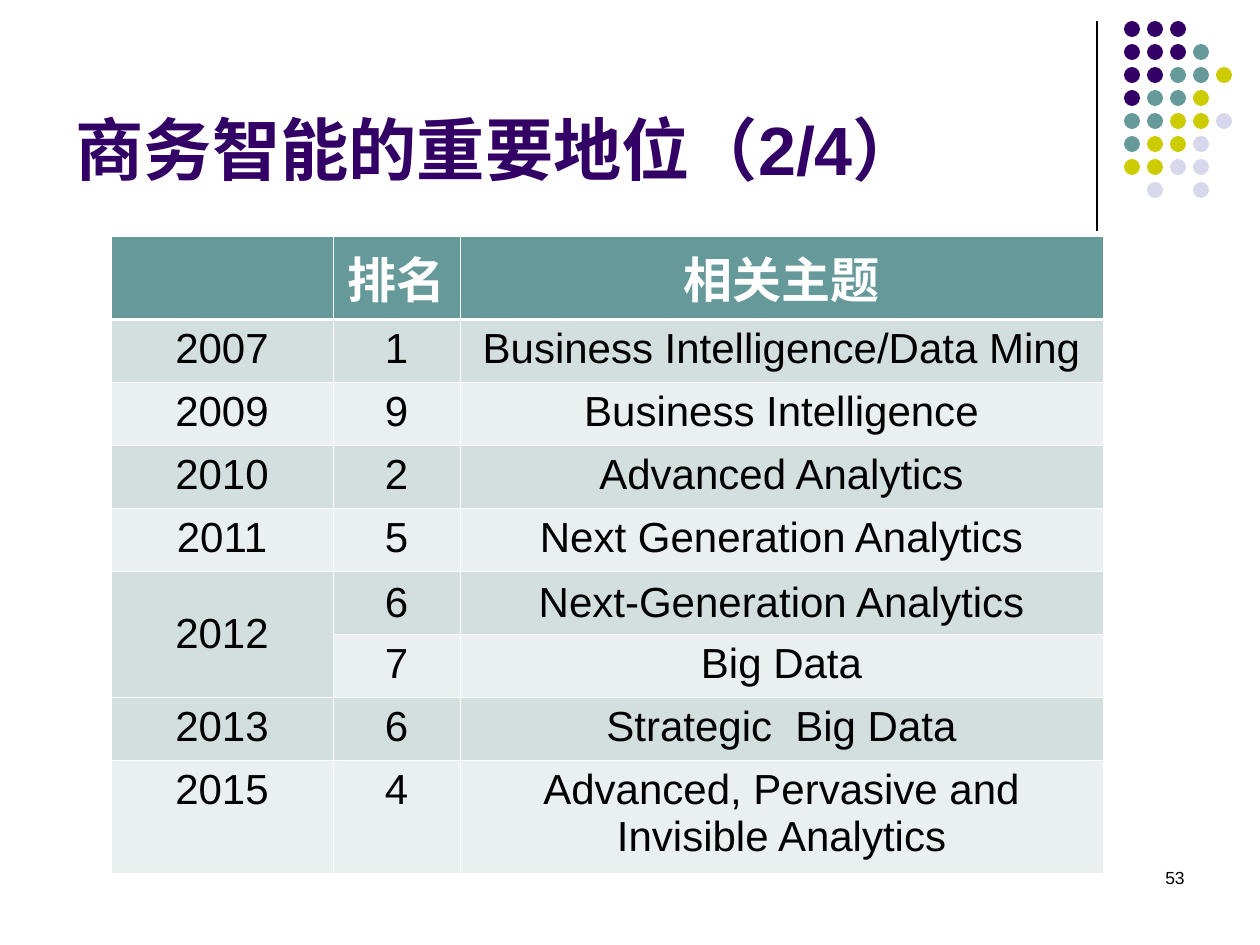
"""Build the slide on the standing of business intelligence, 2007 to 2015."""
from typing import NamedTuple

from lxml import etree
from pptx import Presentation
from pptx.dml.color import RGBColor
from pptx.enum import shapes, text
from pptx.oxml import ns
from pptx import util as u

PX_PER_INCH = 126
FONT = "Arial"
BLACK = RGBColor(0x00, 0x00, 0x00)
WHITE = RGBColor(0xFF, 0xFF, 0xFF)
PURPLE = RGBColor(0x33, 0x00, 0x66)
TEAL = RGBColor(0x66, 0x99, 0x99)
LIME = RGBColor(0xCC, 0xCC, 0x00)
LILAC = RGBColor(0xD8, 0xD8, 0xEC)
BAND_DARK = RGBColor(0xD3, 0xDE, 0xDE)
BAND_LIGHT = RGBColor(0xEA, 0xEF, 0xEF)

DOT_COLORS = {"P": PURPLE, "T": TEAL, "Y": LIME, "L": LILAC}
DOT_ROWS = ("PPP", "PPPT", "PPTTY", "PTTY", "TTYYL", "TYYL", "YYLL", " L L")
DOT_LEFT, DOT_TOP, DOT_PITCH, DOT_SIZE = 1124, 21, 23, 16

COL_WIDTHS = (222, 127, 643)
HEADER_HEIGHT, ROW_HEIGHT, LAST_HEIGHT = 72, 63, 113
THIN, THICK = 0.45, 1.47


class Ranking(NamedTuple):
    year: str
    rank: str
    topic: str


HEADER = Ranking("", "排名", "相关主题")
RANKINGS = (
    Ranking("2007", "1", "Business Intelligence/Data Ming"),
    Ranking("2009", "9", "Business Intelligence"),
    Ranking("2010", "2", "Advanced Analytics"),
    Ranking("2011", "5", "Next Generation Analytics"),
    Ranking("2012", "6", "Next-Generation Analytics"),
    Ranking("", "7", "Big Data"),
    Ranking("2013", "6", "Strategic  Big Data"),
    Ranking("2015", "4", "Advanced, Pervasive and Invisible Analytics"),
)
MERGED_ROW = 5


def px(value: int) -> u.Emu:
    """Turn px into EMU."""
    return u.Emu(round(value * u.Inches(1) / PX_PER_INCH))


def format_text(p, size: float, color: RGBColor, bold: bool, align) -> None:
    """Set the font and alignment of a paragraph."""
    p.alignment = align
    p.font.name = FONT
    p.font.size = u.Pt(size)
    p.font.bold = bold
    p.font.color.rgb = color


def add_title(slide, title: str) -> None:
    """Place and format the title placeholder."""
    sp = slide.shapes.title
    sp.left, sp.top, sp.width, sp.height = px(63), px(16), px(1040), px(179)
    tf = sp.text_frame
    tf.text = title
    tf.auto_size = text.MSO_AUTO_SIZE.NONE
    tf.vertical_anchor = text.MSO_ANCHOR.BOTTOM
    format_text(tf.paragraphs[0], 39, PURPLE, True, text.PP_ALIGN.LEFT)


def add_rule(slide) -> None:
    """Draw the upright line beside the dots."""
    line = slide.shapes.add_connector(
        shapes.MSO_CONNECTOR.STRAIGHT, px(1097), px(21), px(1097), px(231))
    line.line.color.rgb = BLACK
    line.line.width = u.Pt(0.75)
    etree.SubElement(line._element.spPr, ns.qn("a:effectLst"))


def add_dots(slide) -> None:
    """Draw the grid of coloured dots as one group."""
    group = slide.shapes.add_group_shape()
    for row, codes in enumerate(DOT_ROWS):
        for col, code in enumerate(codes):
            if code == " ":
                continue
            sp = group.shapes.add_shape(
                shapes.MSO_SHAPE.OVAL,
                px(DOT_LEFT + col * DOT_PITCH), px(DOT_TOP + row * DOT_PITCH),
                px(DOT_SIZE), px(DOT_SIZE))
            sp.shadow.inherit = False
            sp.fill.solid()
            sp.fill.fore_color.rgb = DOT_COLORS[code]
            sp.line.fill.background()


def set_borders(cell, top: float, bottom: float) -> None:
    """Give a cell white borders, with widths in points."""
    tc_pr = cell._tc.get_or_add_tcPr()
    sides = (("lnL", THIN), ("lnR", THIN), ("lnT", top), ("lnB", bottom))
    for index, (side, width) in enumerate(sides):
        ln = etree.Element(ns.qn(f"a:{side}"), w=str(u.Pt(width)))
        fill = etree.SubElement(ln, ns.qn("a:solidFill"))
        etree.SubElement(fill, ns.qn("a:srgbClr"), val=str(WHITE))
        tc_pr.insert(index, ln)


def format_cell(cell, row: int, value: str) -> None:
    """Fill one table cell according to its row."""
    is_header = row == 0
    cell.text = value
    p = cell.text_frame.paragraphs[0]
    format_text(p, 28 if is_header else 24, WHITE if is_header else BLACK,
                is_header, text.PP_ALIGN.CENTER)
    if row == MERGED_ROW:
        cell.vertical_anchor = text.MSO_ANCHOR.MIDDLE
    cell.fill.solid()
    band = BAND_DARK if row % 2 else BAND_LIGHT
    cell.fill.fore_color.rgb = TEAL if is_header else band
    set_borders(cell, THICK if row == 1 else THIN, THICK if is_header else THIN)


def add_rankings(slide) -> None:
    """Add the table of yearly rankings."""
    records = (HEADER, *RANKINGS)
    heights = (HEADER_HEIGHT, *[ROW_HEIGHT] * (len(RANKINGS) - 1), LAST_HEIGHT)
    table = slide.shapes.add_table(
        len(records), len(COL_WIDTHS), px(111), px(236),
        px(sum(COL_WIDTHS)), px(sum(heights))).table
    for column, width in zip(table.columns, COL_WIDTHS):
        column.width = px(width)
    for row, (record, height) in enumerate(zip(records, heights)):
        table.rows[row].height = px(height)
        for col, value in enumerate(record):
            format_cell(table.cell(row, col), row, value)
    table.cell(MERGED_ROW, 0).merge(table.cell(MERGED_ROW + 1, 0))


def add_page_number(slide, number: str) -> None:
    """Add the page number at the lower right."""
    tf = slide.shapes.add_textbox(px(903), px(861), px(294), px(63)).text_frame
    tf.word_wrap = True
    tf.text = number
    format_text(tf.paragraphs[0], 10, BLACK, False, text.PP_ALIGN.RIGHT)


def main() -> None:
    """Build and save the slide."""
    prs = Presentation()
    prs.slide_width, prs.slide_height = px(1260), px(945)
    slide = prs.slides.add_slide(prs.slide_layouts[5])
    add_rule(slide)
    add_dots(slide)
    add_title(slide, "商务智能的重要地位（2/4）")
    add_rankings(slide)
    add_page_number(slide, "53")
    prs.save("out.pptx")


if __name__ == "__main__":
    main()
